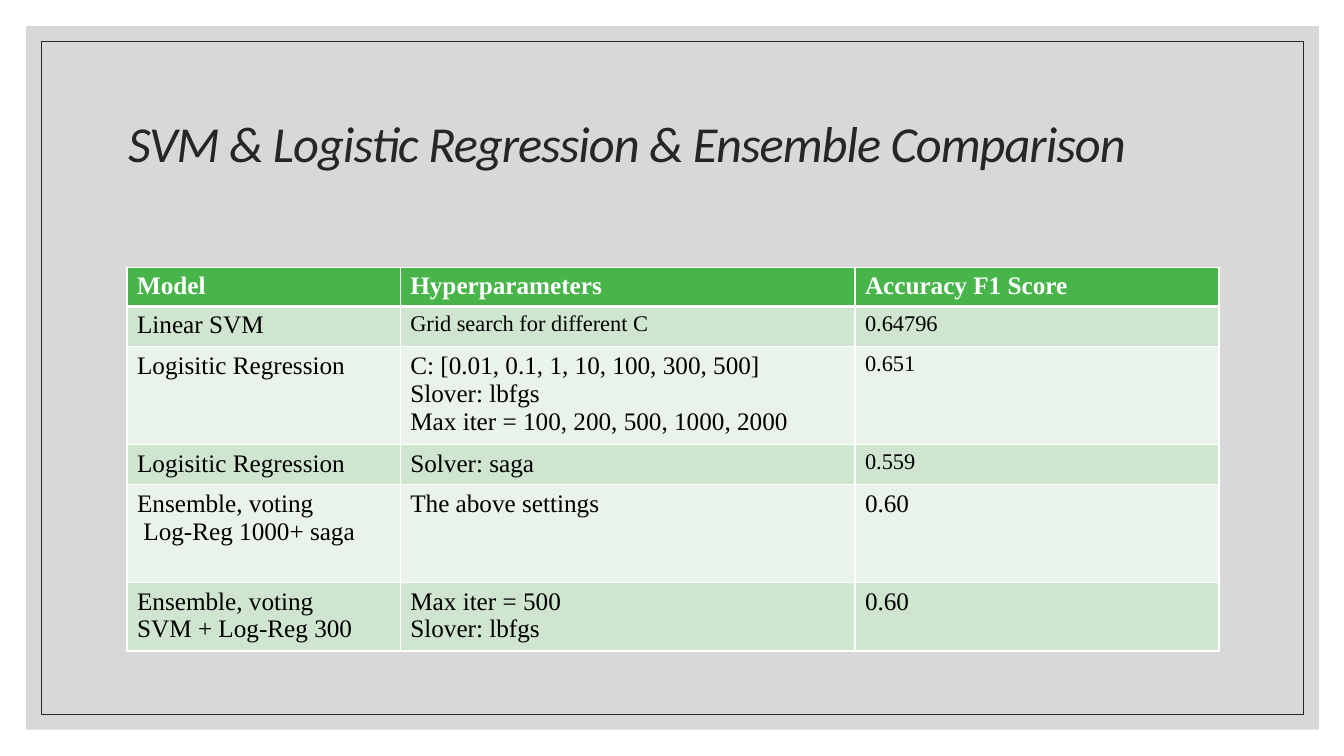
from lxml import etree
from pptx import Presentation
from pptx import util as u
from pptx.dml.color import RGBColor
from pptx.enum import shapes, text
from pptx.oxml.ns import qn

WHITE = RGBColor(0xFF, 0xFF, 0xFF)
BLACK = RGBColor(0, 0, 0)
INK = RGBColor(0x26, 0x26, 0x26)
GREY = RGBColor(0xBF, 0xBF, 0xBF)
GREEN = RGBColor(0x47, 0xB5, 0x4A)
BANDS = [RGBColor(0xCF, 0xE5, 0xD0), RGBColor(0xE9, 0xF3, 0xE9)]

TITLE_FONT = {"name": "Calibri", "size": u.Pt(36), "italic": True, "bold": False}
HEADER_FONT = {"name": "Times New Roman", "size": u.Pt(18), "bold": True}
BODY_FONT = {**HEADER_FONT, "bold": False}
SMALL_FONT = {**BODY_FONT, "size": u.Pt(16)}

COLUMN_WIDTHS = [2.71, 4.51, 3.61]
ROW_HEIGHTS = [0.39, 0.4, 0.97, 0.4, 0.97, 0.68]
RESULTS = [
    ["Model", "Hyperparameters", "Accuracy F1 Score"],
    ["Linear SVM", "Grid search for different C", "0.64796"],
    ["Logisitic Regression",
     "C: [0.01, 0.1, 1, 10, 100, 300, 500]\nSlover: lbfgs\n"
     "Max iter = 100, 200, 500, 1000, 2000", "0.651"],
    ["Logisitic Regression", "Solver: saga", "0.559"],
    ["Ensemble, voting\n Log-Reg 1000+ saga", "The above settings", "0.60"],
    ["Ensemble, voting\nSVM + Log-Reg 300", "Max iter = 500\nSlover: lbfgs", "0.60"],
]
SMALL_CELLS = {(1, 1), (1, 2), (2, 2), (3, 2)}


def set_font(font, values, color):
    for name, value in values.items():
        setattr(font, name, value)
    font.color.rgb = color


def add_frame(slide, left, top, width, height):
    """Grey panel with a thin outline set in from its edges."""
    inset = 0.15
    for gap in (0, inset):
        frame = slide.shapes.add_shape(
            shapes.MSO_SHAPE.RECTANGLE, u.Inches(left + gap), u.Inches(top + gap),
            u.Inches(width - 2 * gap), u.Inches(height - 2 * gap))
        frame.shadow.inherit = False
        if gap:
            frame.fill.background()
            frame.line.color.rgb = INK
            frame.line.width = u.Pt(0.5)
        else:
            frame.fill.solid()
            frame.fill.fore_color.rgb = GREY
            frame.line.fill.background()
            panel_color = frame.fill._xPr.find(".//" + qn("a:srgbClr"))
            etree.SubElement(panel_color, qn("a:alpha"), val="60000")


def add_title(slide, left, top, width, height):
    title = slide.shapes.title
    # Bring the title in front of the frame
    slide.shapes._spTree.append(title._element)
    box = {"left": left, "top": top, "width": width, "height": height}
    for name, value in box.items():
        setattr(title, name, u.Inches(value))
    title.text_frame.text = "SVM & Logistic Regression & Ensemble Comparison"
    title.text_frame.vertical_anchor = text.MSO_ANCHOR.MIDDLE
    heading = title.text_frame.paragraphs[0]
    heading.alignment = text.PP_ALIGN.LEFT
    heading.line_spacing = 0.9
    run = heading.runs[0]
    set_font(run.font, TITLE_FONT, INK)
    run.font._element.set("spc", "-70")


def set_borders(cell, widths):
    for side, points in widths.items():
        border = etree.SubElement(cell._tc.get_or_add_tcPr(), qn("a:ln" + side),
                                  w=str(u.Pt(points)))
        fill = etree.SubElement(border, qn("a:solidFill"))
        etree.SubElement(fill, qn("a:srgbClr"), val=str(WHITE))


def add_results_table(slide, left, top, width, height):
    table = slide.shapes.add_table(
        len(RESULTS), len(COLUMN_WIDTHS), u.Inches(left), u.Inches(top),
        u.Inches(width), u.Inches(height)).table
    for column, column_width in zip(table.columns, COLUMN_WIDTHS):
        column.width = u.Inches(column_width)
    for row, row_height in zip(table.rows, ROW_HEIGHTS):
        row.height = u.Inches(row_height)

    for r, result in enumerate(RESULTS):
        for c, entry in enumerate(result):
            cell = table.cell(r, c)
            cell.text = entry
            # The rule under the header is heavier
            set_borders(cell, {"L": 1, "R": 1, "T": 3 if r == 1 else 1,
                               "B": 3 if r == 0 else 1})
            cell.fill.solid()
            cell.fill.fore_color.rgb = BANDS[(r - 1) % 2] if r else GREEN
            if r == 0:
                values, color = HEADER_FONT, WHITE
            else:
                values = SMALL_FONT if (r, c) in SMALL_CELLS else BODY_FONT
                color = BLACK
            for paragraph in cell.text_frame.paragraphs:
                set_font(paragraph.runs[0].font, values, color)


def main():
    deck = Presentation()
    deck.slide_width, deck.slide_height = u.Inches(13.33), u.Inches(7.5)
    slide = deck.slides.add_slide(deck.slide_layouts[5])
    slide.background.fill.solid()
    slide.background.fill.fore_color.rgb = WHITE
    add_frame(slide, 0.26, 0.26, 12.82, 6.98)
    add_title(slide, 1.17, 0.7, 11, 1.5)
    add_results_table(slide, 1.26, 2.65, sum(COLUMN_WIDTHS), sum(ROW_HEIGHTS))
    deck.save("out.pptx")


if __name__ == "__main__":
    main()
